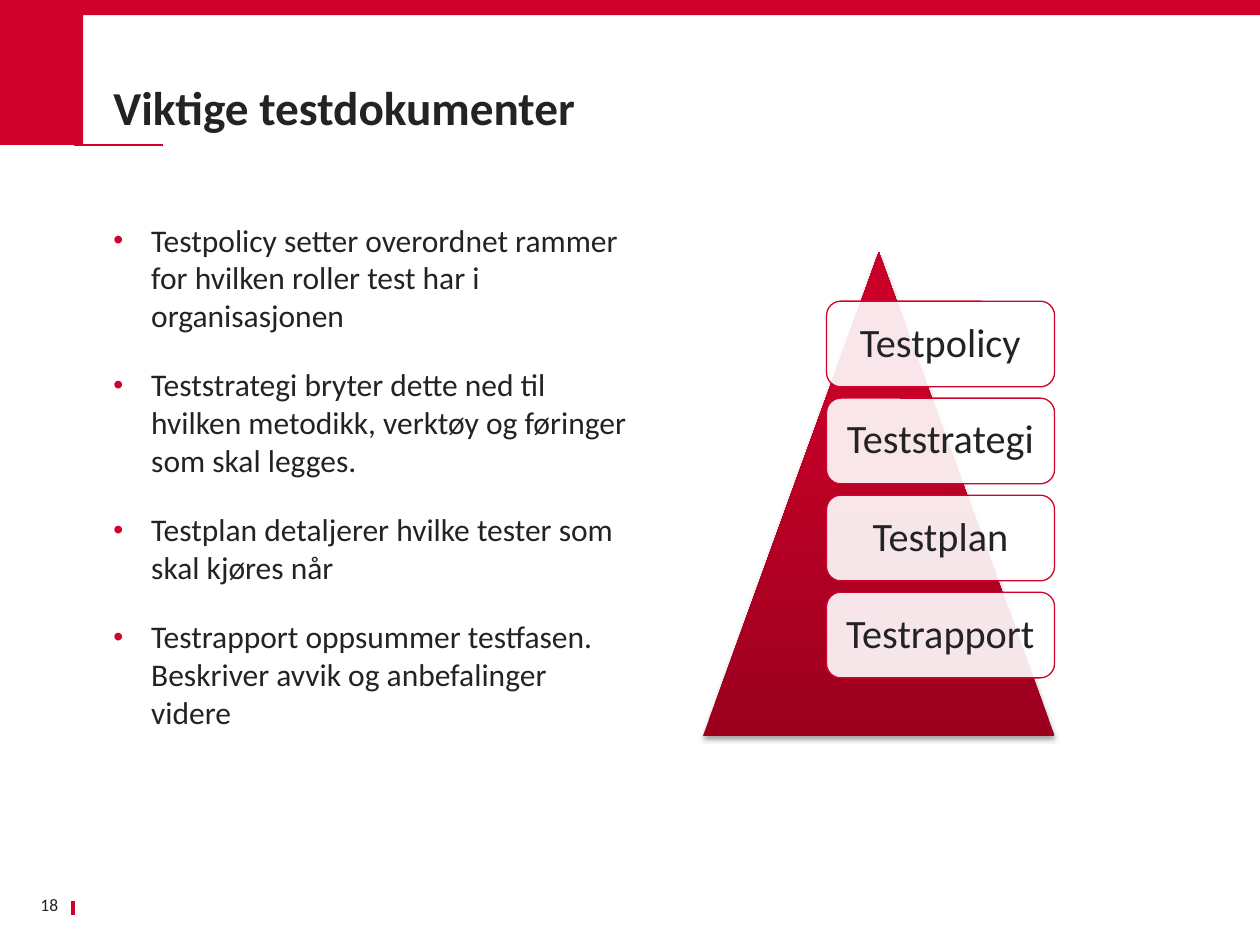
from dataclasses import dataclass

from lxml import etree
from pptx import Presentation
from pptx.dml.color import RGBColor
from pptx.enum.shapes import MSO_CONNECTOR, MSO_SHAPE
from pptx.enum.text import MSO_ANCHOR, MSO_AUTO_SIZE, PP_ALIGN
from pptx.oxml import parse_xml
from pptx.oxml.ns import nsdecls, qn
from pptx.util import Emu, Pt

RECT, TRIANGLE, ROUNDED = MSO_SHAPE.RECTANGLE, MSO_SHAPE.ISOSCELES_TRIANGLE, MSO_SHAPE.ROUNDED_RECTANGLE
STRAIGHT = MSO_CONNECTOR.STRAIGHT
LEFT, CENTER, RIGHT = PP_ALIGN.LEFT, PP_ALIGN.CENTER, PP_ALIGN.RIGHT
TOP, MIDDLE, BOTTOM = MSO_ANCHOR.TOP, MSO_ANCHOR.MIDDLE, MSO_ANCHOR.BOTTOM
NO_FIT = MSO_AUTO_SIZE.NONE

EMU_PER_PX = 9144  # 100 px to the inch


@dataclass(frozen=True)
class Theme:
    font: str = "Calibri"
    red: str = "CF022B"
    deep_red: str = "9C001F"
    bright_red: str = "CB0029"
    ink: str = "232323"
    white: str = "FFFFFF"
    title_size: int = 27
    body_size: int = 18
    card_size: int = 23
    number_size: int = 10


THEME = Theme()

BULLETS = [
    "Testpolicy setter overordnet rammer for hvilken roller test har i organisasjonen",
    "Teststrategi bryter dette ned til hvilken metodikk, verktøy og føringer som skal legges.",
    "Testplan detaljerer hvilke tester som skal kjøres når",
    "Testrapport oppsummer testfasen. Beskriver avvik og anbefalinger videre",
]
LEVELS = ["Testpolicy", "Teststrategi", "Testplan", "Testrapport"]


def px(*lengths):
    return [Emu(length * EMU_PER_PX) for length in lengths]


def rgb(value):
    return RGBColor.from_string(value)


def place(shape, box):
    shape.left, shape.top, shape.width, shape.height = px(*box)


def set_frame(shape, anchor, inset):
    frame = shape.text_frame
    frame.word_wrap = True
    frame.auto_size = NO_FIT
    frame.vertical_anchor = anchor
    frame.margin_left = frame.margin_top = frame.margin_right = frame.margin_bottom = px(inset)[0]
    return frame


def add_span(para, text, size, align=LEFT, bold=False):
    para.alignment = align
    span = para.add_run()
    span.text = text
    span.font.name = THEME.font
    span.font.size = Pt(size)
    span.font.bold = bold
    span.font.color.rgb = rgb(THEME.ink)


def add_block(shapes, kind, box):
    block = shapes.add_shape(kind, *px(*box))
    block.shadow.inherit = False
    block.fill.solid()
    block.fill.fore_color.rgb = rgb(THEME.red)
    block.line.fill.background()
    return block


def add_rule(page, start, end, weight):
    rule = page.shapes.add_connector(STRAIGHT, *px(*start, *end))
    rule.line.color.rgb = rgb(THEME.red)
    rule.line.width = Pt(weight)
    etree.SubElement(rule._element.spPr, qn("a:effectLst"))


def add_bullet(para, indent):
    properties = para._p.get_or_add_pPr()
    properties.set("marL", str(indent))
    properties.set("indent", str(-indent))
    color = etree.SubElement(properties, qn("a:buClr"))
    etree.SubElement(color, qn("a:srgbClr"), val=THEME.red)
    etree.SubElement(properties, qn("a:buSzPct"), val="90000")
    etree.SubElement(properties, qn("a:buFont"), typeface="Arial")
    etree.SubElement(properties, qn("a:buChar"), char="•")


def build_frame(page, box):
    """Red band, corner block and underline at the top of the page."""
    left, top, width, height = box
    add_rule(page, (left + 59, top + height), (left + 129, top + height), 1)
    add_block(page.shapes, RECT, (left, top, width, 12))
    add_block(page.shapes, RECT, (left, top, 66, height))


def build_title(page, box):
    title = page.shapes.title
    place(title, box)
    para = set_frame(title, BOTTOM, 0).paragraphs[0]
    para.line_spacing = Pt(27.1)
    add_span(para, "Viktige testdokumenter", THEME.title_size, bold=True)


def build_list(page, box):
    body = page.placeholders[1]
    place(body, box)
    frame = set_frame(body, TOP, 0)
    for index, text in enumerate(BULLETS):
        para = frame.add_paragraph() if index else frame.paragraphs[0]
        add_bullet(para, px(30)[0])
        para.space_before = Pt(18 if index else 0)
        add_span(para, text, THEME.body_size)


def build_pyramid(page, box):
    """Triangle with one translucent card for each document level."""
    left, top, width, height = box
    shapes = page.shapes.add_group_shape().shapes

    triangle = add_block(shapes, TRIANGLE, box)
    triangle.fill.gradient()
    triangle.fill.gradient_angle = 90
    stops = zip(triangle.fill.gradient_stops, (THEME.deep_red, THEME.bright_red), (0, 0.8))
    for stop, color, position in stops:
        stop.color.rgb = rgb(color)
        stop.position = position
    effects = triangle._element.spPr.find(qn("a:effectLst"))
    effects.append(parse_xml(
        f'<a:outerShdw {nsdecls("a")} blurRad="{Pt(3.1)}" dist="{Pt(1.8)}" dir="5400000" '
        'rotWithShape="0"><a:srgbClr val="000000"><a:alpha val="35000"/></a:srgbClr></a:outerShdw>'))

    card_width, card_height, pitch = 181, 68, 77
    for index, text in enumerate(LEVELS):
        card_top = top + 39 + index * pitch
        card = add_block(shapes, ROUNDED, (left + width - card_width, card_top, card_width, card_height))
        card.fill.fore_color.rgb = rgb(THEME.white)
        color = card._element.spPr.find(qn("a:solidFill")).find(qn("a:srgbClr"))
        etree.SubElement(color, qn("a:alpha"), val="90000")
        card.line.color.rgb = rgb(THEME.red)
        card.line.width = Pt(0.75)
        para = set_frame(card, MIDDLE, 10).paragraphs[0]
        para.line_spacing = 0.9
        add_span(para, text, THEME.card_size, CENTER)


def build_page_number(page, box):
    left, top, width, height = box
    add_rule(page, (left + width + 2, top + 9), (left + width + 2, top + 20), 2.25)
    number = page.shapes.add_textbox(*px(*box))
    para = set_frame(number, MIDDLE, 10).paragraphs[0]
    add_span(para, "18", THEME.number_size, RIGHT)


def main():
    deck = Presentation()
    deck.slide_width, deck.slide_height = px(1000, 750)
    page = deck.slides.add_slide(deck.slide_layouts[1])
    build_frame(page, (0, 0, 1000, 115))
    build_title(page, (90, -2, 804, 109))
    build_list(page, (90, 175, 410, 512))
    build_pyramid(page, (558, 200, 279, 384))
    build_page_number(page, (20, 706, 36, 24))
    deck.save("out.pptx")


if __name__ == "__main__":
    main()
